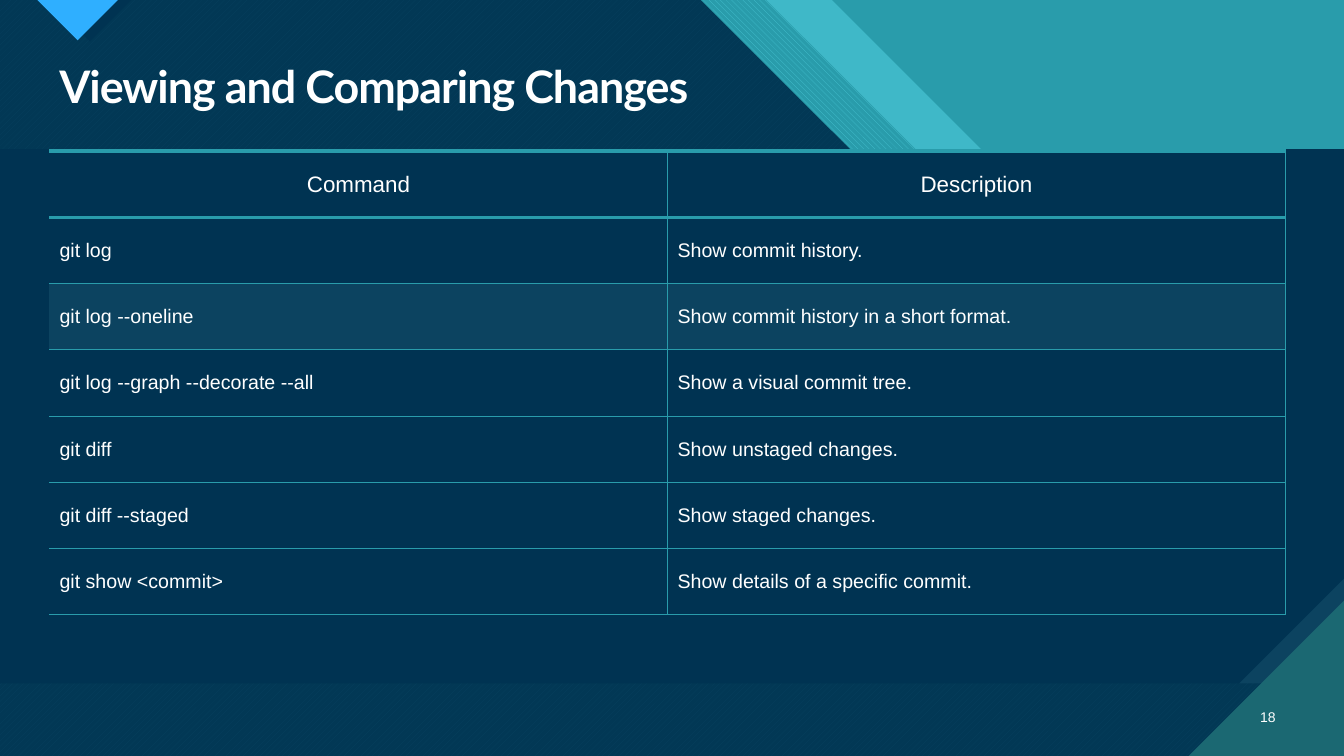
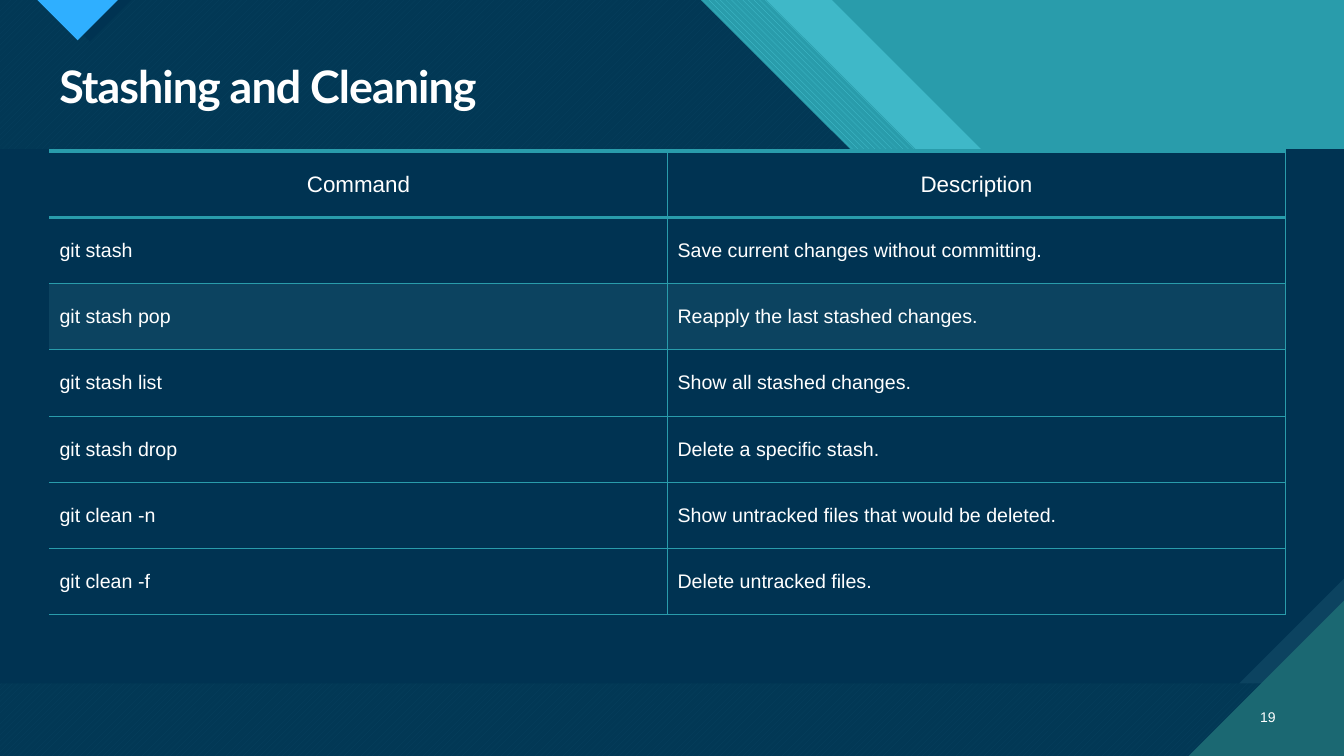
"""Build two command reference slides with a shared diagonal-band style."""
from lxml.etree import SubElement
from pptx import Presentation
from pptx.dml.color import RGBColor
from pptx.enum.dml import MSO_PATTERN as Pattern
from pptx.enum.text import MSO_ANCHOR as Anchor, PP_ALIGN as Align
from pptx.oxml import parse_xml
from pptx.oxml.ns import nsdecls, qn
from pptx.util import Inches, Pt

COLORS = {
    "teal": "299CAB",
    "aqua": "47C3D3",
    "pine": "1B6872",
    "navy": "003352",
    "slate": "0C4360",
    "sky": "2FAFFF",
    "white": "FFFFFF",
}
FORMATS = {
    "title": {"name": "Lato", "size": Pt(32), "bold": True},
    "header": {"name": "Arial", "size": Pt(16), "bold": False},
    "body": {"name": "Arial", "size": Pt(14), "bold": False},
    "number": {"name": "Arial", "size": Pt(10), "bold": False},
}
WIDTH, HEIGHT = 13.33, 7.5
MARGIN, CONTENT_WIDTH = 0.49, 12.26
PANEL_TOP, PANEL_BOTTOM, PANEL_SNIP = 1.48, 6.78, 1.04
TABLE_TOP, TABLE_HEIGHT = 1.5, 4.6
HIGHLIGHT_ROW = 2


def color(key):
    return RGBColor.from_string(COLORS[key])


class Deck:
    def __init__(self):
        self.prs = Presentation()
        self.prs.slide_width = Inches(WIDTH)
        self.prs.slide_height = Inches(HEIGHT)
        self.slide = None

    def new_slide(self):
        self.slide = self.prs.slides.add_slide(self.prs.slide_layouts[6])
        backdrop = self.slide.background.fill
        backdrop.solid()
        backdrop.fore_color.rgb = color("teal")

    def polygon(self, points, fill, alpha=None, pattern=None, back=None):
        start, *rest = [(Inches(x), Inches(y)) for x, y in points]
        builder = self.slide.shapes.build_freeform(*start)
        builder.add_line_segments(rest, close=True)
        area = builder.convert_to_shape()
        area.shadow.inherit = False
        area.line.fill.background()
        if pattern is None:
            area.fill.solid()
        else:
            area.fill.patterned()
            area.fill.pattern = pattern
            area.fill.back_color.rgb = color(back)
        area.fill.fore_color.rgb = color(fill)
        if alpha is not None:
            tint = area.element.spPr.find(qn("a:solidFill")).find(qn("a:srgbClr"))
            SubElement(tint, qn("a:alpha"), val=str(alpha * 1000))

    def diagonal_band(self, left, step, shelf, **look):
        shelf_end = left + step + shelf
        self.polygon(
            [(0, 0), (left, 0), (left + step, step), (shelf_end, step),
             (WIDTH, step + WIDTH - shelf_end), (WIDTH, HEIGHT), (0, HEIGHT)],
            **look)

    def pointer(self, left, depth, fill):
        self.polygon([(left, 0), (left + depth, depth), (left + 2 * depth, 0)], fill)

    def corner(self, size, bottom, fill):
        self.polygon([(WIDTH - size, bottom), (WIDTH, bottom), (WIDTH, bottom - size)], fill)

    def decor(self):
        self.diagonal_band(8.25, 2.97, 1.12, fill="aqua", alpha=74)
        self.diagonal_band(7.6, 2.97, 1.26, fill="aqua", back="teal",
                           pattern=Pattern.WIDE_DOWNWARD_DIAGONAL)
        self.diagonal_band(6.95, 2.97, 1.26, fill="aqua", back="pine",
                           pattern=Pattern.WIDE_UPWARD_DIAGONAL)
        self.diagonal_band(6.95, 2.97, 1.26, fill="navy", alpha=90)
        self.pointer(0.48, 0.41, "navy")
        self.pointer(0.37, 0.4, "sky")
        self.polygon([(0, PANEL_TOP), (WIDTH, PANEL_TOP), (WIDTH, PANEL_BOTTOM - PANEL_SNIP),
                      (WIDTH - PANEL_SNIP, PANEL_BOTTOM), (0, PANEL_BOTTOM)], "navy")
        self.corner(PANEL_SNIP, PANEL_BOTTOM, "slate")
        self.corner(1.54, HEIGHT, "pine")

    def fill_text(self, frame, words, style, align=Align.LEFT):
        paragraph = frame.paragraphs[0]
        paragraph.alignment = align
        run = paragraph.add_run()
        run.text = words
        for name, value in FORMATS[style].items():
            setattr(run.font, name, value)
        run.font.color.rgb = color("white")
        return paragraph

    def text(self, words, box, style, align=Align.LEFT):
        frame = self.slide.shapes.add_textbox(*map(Inches, box)).text_frame
        frame.word_wrap = True
        frame.vertical_anchor = Anchor.MIDDLE
        return self.fill_text(frame, words, style, align)

    def title(self, words):
        heading = self.text(words, (MARGIN, 0.59, CONTENT_WIDTH, 0.59), "title")
        heading.line_spacing = 0.9
        heading.runs[0]._r.get_or_add_rPr().set("spc", "-70")

    def number(self, value):
        self.text(str(value), (12.31, 6.91, 0.44, 0.4), "number", Align.RIGHT)

    def borders(self, cell, widths):
        properties = cell._tc.get_or_add_tcPr()
        for position, (side, points) in enumerate(widths.items()):
            paint = "<a:noFill/>"
            if points:
                paint = f'<a:solidFill><a:srgbClr val="{COLORS["teal"]}"/></a:solidFill>'
            edge = f'<a:{side} {nsdecls("a")} w="{Pt(points)}">{paint}</a:{side}>'
            properties.insert(position, parse_xml(edge))

    def table(self, commands):
        rows = [("Command", "Description"), *commands]
        box = (MARGIN, TABLE_TOP, CONTENT_WIDTH, TABLE_HEIGHT)
        grid = self.slide.shapes.add_table(len(rows), 2, *map(Inches, box)).table
        grid.first_row = grid.horz_banding = False
        for r, row in enumerate(rows):
            for c, words in enumerate(row):
                cell = grid.cell(r, c)
                cell.vertical_anchor = Anchor.MIDDLE
                if r == HIGHLIGHT_ROW:
                    cell.fill.solid()
                    cell.fill.fore_color.rgb = color("slate")
                else:
                    cell.fill.background()
                self.borders(cell, {"lnL": 1 if c else 0, "lnR": 1,
                                    "lnT": 3 if r < 2 else 1, "lnB": 1 if r else 3})
                style, align = ("body", Align.LEFT) if r else ("header", Align.CENTER)
                self.fill_text(cell.text_frame, words, style, align)


SLIDES = [
    (18, "Viewing and Comparing Changes", [
        ("git log", "Show commit history."),
        ("git log --oneline", "Show commit history in a short format."),
        ("git log --graph --decorate --all", "Show a visual commit tree."),
        ("git diff", "Show unstaged changes."),
        ("git diff --staged", "Show staged changes."),
        ("git show <commit>", "Show details of a specific commit."),
    ]),
    (19, "Stashing and Cleaning", [
        ("git stash", "Save current changes without committing."),
        ("git stash pop", "Reapply the last stashed changes."),
        ("git stash list", "Show all stashed changes."),
        ("git stash drop", "Delete a specific stash."),
        ("git clean -n", "Show untracked files that would be deleted."),
        ("git clean -f", "Delete untracked files."),
    ]),
]


def main():
    deck = Deck()
    for page, heading, commands in SLIDES:
        deck.new_slide()
        deck.decor()
        deck.title(heading)
        deck.table(commands)
        deck.number(page)
    deck.prs.save("out.pptx")


if __name__ == "__main__":
    main()
